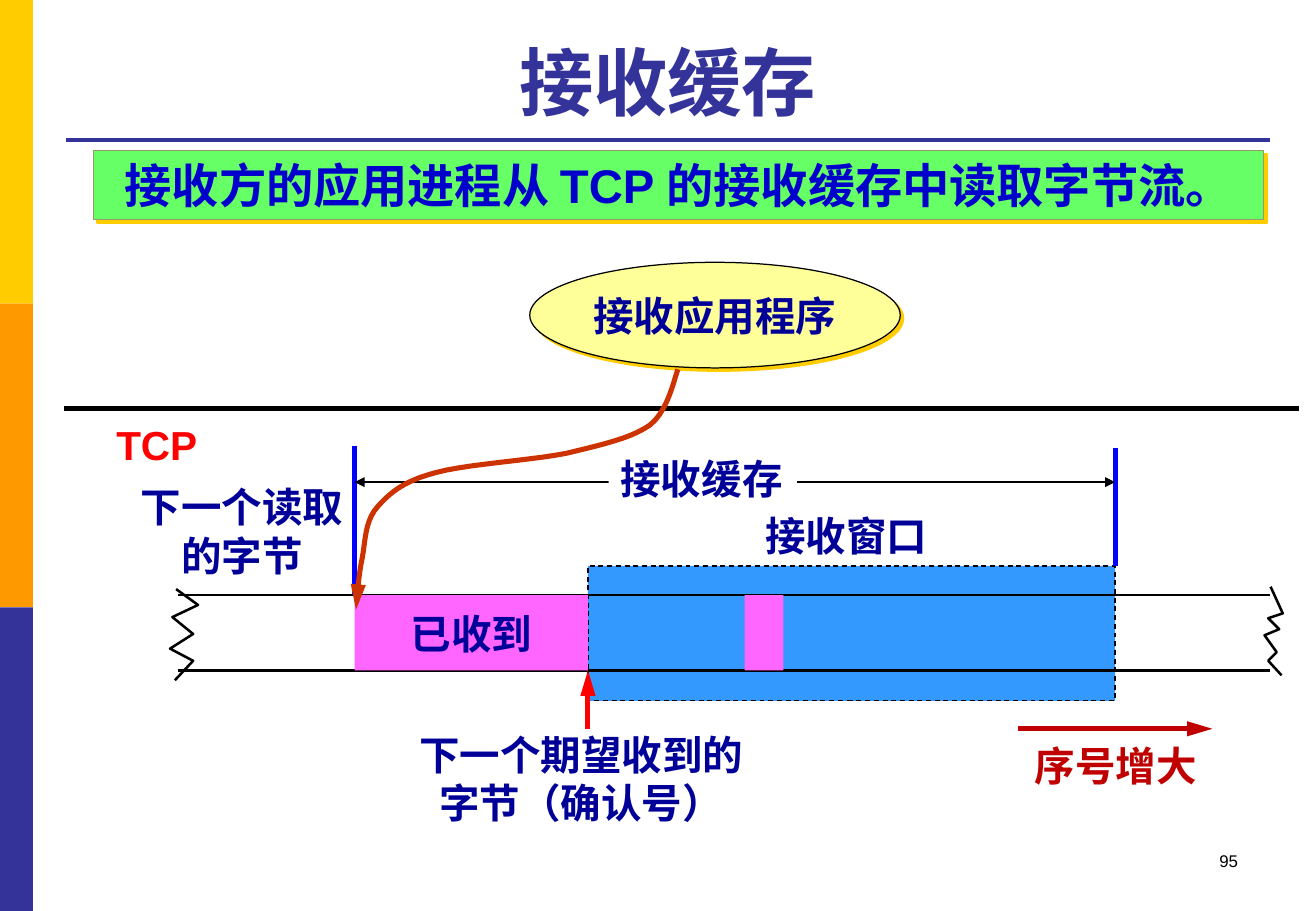
import pptx
import pptx.util
import pptx.dml.color
import pptx.enum.dml
import pptx.enum.shapes
import pptx.enum.text
import pptx.oxml
from lxml import etree

Pt = pptx.util.Pt
RECT = pptx.enum.shapes.MSO_SHAPE.RECTANGLE
OVAL = pptx.enum.shapes.MSO_SHAPE.OVAL
ALIGN = pptx.enum.text.PP_ALIGN
ANCHOR = pptx.enum.text.MSO_ANCHOR
hex_color = pptx.dml.color.RGBColor.from_string
DRAWING = "http://schemas.openxmlformats.org/drawingml/2006/main"
SHADOW = (f'<a:effectLst xmlns:a="{DRAWING}"><a:outerShdw dist="35921" dir="2700000" algn="ctr" '
          'rotWithShape="0"><a:srgbClr val="FFCC00"/></a:outerShdw></a:effectLst>')

deck = pptx.Presentation()
deck.slide_width, deck.slide_height = Pt(780), Pt(540)
slide = deck.slides.add_slide(deck.slide_layouts[6])
shapes = slide.shapes


def add_block(kind, bounds, fill=None, outline=None, shadow=False):
    block = shapes.add_shape(kind, *map(Pt, bounds))
    block.fill.solid()
    block.fill.fore_color.rgb = hex_color(fill)
    if outline:
        block.line.color.rgb = hex_color(outline)
        block.line.width = Pt(0.75)
    else:
        block.line.fill.background()
    if shadow:
        block._element.spPr.append(pptx.oxml.parse_xml(SHADOW))
    else:
        block.shadow.inherit = False
    return block


def draw_stroke(points, color, width, arrows=(), length="med"):
    points = [(Pt(x), Pt(y)) for x, y in points]
    if len(points) == 2:
        stroke = shapes.add_connector(pptx.enum.shapes.MSO_CONNECTOR.STRAIGHT, *points[0], *points[1])
    else:
        builder = shapes.build_freeform(*points[0], scale=1.0)
        builder.add_line_segments(points[1:], close=False)
        stroke = builder.convert_to_shape()
        stroke.fill.background()
    stroke.line.color.rgb = hex_color(color)
    stroke.line.width = Pt(width)
    for end in arrows:
        etree.SubElement(stroke.line._get_or_add_ln(), f"{{{DRAWING}}}{end}",
                         type="triangle", w="med", len=length)
    etree.SubElement(stroke._element.spPr, f"{{{DRAWING}}}effectLst")


# Side band and title rule
for i, color in enumerate(["FFCC00", "FF9900", "333399"]):
    add_block(RECT, (0, 180 * i, 19.5, 180), color)
draw_stroke([(39, 82.8), (753, 82.8)], "333399", 2.25)

# Buffer geometry
buffer_left, next_expected, buffer_right = 210.24, 348.5, 661
stream_top, stream_bottom = 352.8, 397.4
stream_height = stream_bottom - stream_top
window_top = 335.5

# Receive window and receiving application
window = add_block(RECT, (next_expected, window_top, buffer_right - next_expected, 80), "3399FF", "000000")
window.line.dash_style = pptx.enum.dml.MSO_LINE.DASH
application = add_block(OVAL, (314, 155.5, 219.6, 62.6), "FFFF99", "000000", shadow=True)

# Layer boundary and byte stream
draw_stroke([(38.2, 241.9), (769.7, 241.9)], "000000", 3)
for y in (stream_top, stream_bottom):
    draw_stroke([(105.8, y), (753, y)], "000000", 1.5)
received = add_block(RECT, (buffer_left, stream_top, next_expected - buffer_left, stream_height), "FF66FF")
add_block(RECT, (441.4, stream_top, 23, stream_height), "FF66FF")

# Buffer limits and span
draw_stroke([(buffer_left, 264.2), (buffer_left, stream_top)], "0000FF", 3)
draw_stroke([(buffer_right, 265.7), (buffer_right, window_top)], "0000FF", 3)
draw_stroke([(buffer_left, 285.8), (buffer_right, 285.8)], "000000", 1.5, ("headEnd", "tailEnd"))
span_label = add_block(RECT, (360.7, 265.7, 111.6, 36), "FFFFFF")

# Reading path from the application to the next byte, sampled from cubic curves
path_start = (401.8, 218.9)
reading_curves = [
    [(399.6, 224.6), (396, 243.4), (385.2, 252)],
    [(373.7, 259.9), (357.1, 263.5), (336.2, 268.6)],
    [(315.4, 272.9), (277.2, 275), (258.5, 280.1)],
    [(239, 285.1), (231.1, 292.3), (223.9, 300.2)],
    [(216, 308.9), (216.7, 321.1), (214.6, 331.2)],
    [(212.4, 341.3), (211.7, 355), (211, 361.4)],
]
reading_path = [path_start]
for control_1, control_2, end in reading_curves:
    start = reading_path[-1]
    for step in range(1, 11):
        t = step / 10
        reading_path.append(tuple(
            (1 - t) ** 3 * a + 3 * (1 - t) ** 2 * t * b + 3 * (1 - t) * t ** 2 * c + t ** 3 * d
            for a, b, c, d in zip(start, control_1, control_2, end)))
draw_stroke(reading_path, "CC3300", 3, ["tailEnd"], "lg")

# Sequence direction and acknowledgement arrows
draw_stroke([(603.4, 432), (718.6, 432)], "C00000", 3, ["tailEnd"], "lg")
draw_stroke([(next_expected, 432), (next_expected, stream_bottom)], "FF0000", 3, ["tailEnd"], "lg")

# Torn ends of the stream
draw_stroke([(753.1, 347.8), (760.3, 363.6), (751.7, 366.5), (758.2, 373), (749.5, 376.6),
             (756.7, 386.6), (751.7, 391.7), (759.6, 400.3)], "000000", 1.5)
draw_stroke([(104.4, 349.2), (117.4, 358.6), (102.2, 365.8), (114.5, 375.8), (100.8, 384.5),
             (114.5, 391.7), (103.7, 403.2)], "000000", 1.5)

banner = add_block(RECT, (55.6, 89.3, 693.4, 41), "66FF66", "999966", shadow=True)

# Text: holder (a shape or the bounds of a text box), lines, size, colour, alignment, anchor, wrap
C, L, R = ALIGN.CENTER, ALIGN.LEFT, ALIGN.RIGHT
TOP, MIDDLE, BOTTOM = ANCHOR.TOP, ANCHOR.MIDDLE, ANCHOR.BOTTOM
texts = [
    ((39, 15.1, 713.5, 62.6), ["接收缓存"], 44, "333399", C, BOTTOM, True),
    (banner, ["接收方的应用进程从 TCP 的接收缓存中读取字节流。"], 28, "0000CC", C, TOP, True),
    (application, ["接收应用程序"], 24, "000099", C, MIDDLE, False),
    (received, ["已收到"], 24, "000099", C, MIDDLE, False),
    (span_label, ["接收缓存"], 24, "000099", L, TOP, False),
    ((446.4, 299.5, 111.6, 36), ["接收窗口"], 24, "000099", L, TOP, False),
    ((61.2, 245.5, 63.4, 36), ["TCP"], 24, "FF0000", C, TOP, False),
    ((75.6, 282.2, 135.4, 65.5), ["下一个读取", "的字节"], 24, "000099", C, TOP, False),
    ((605.5, 435.6, 111.6, 36), ["序号增大"], 24, "C00000", C, TOP, False),
    ((240.5, 429.1, 208, 65.5), ["下一个期望收到的", "字节（确认号）"], 24, "000099", C, TOP, False),
    ((558.7, 500.4, 182.2, 36), ["95"], 10, "000000", R, TOP, True),
]
for holder, lines, size, color, align, anchor, wrap in texts:
    if isinstance(holder, tuple):
        holder = shapes.add_textbox(*map(Pt, holder))
    frame = holder.text_frame
    frame.word_wrap = wrap
    frame.vertical_anchor = anchor
    for i, line in enumerate(lines):
        paragraph = frame.add_paragraph() if i else frame.paragraphs[0]
        paragraph.alignment = align
        run = paragraph.add_run()
        run.text = line
        run.font.name = "Arial"
        run.font.size = Pt(size)
        run.font.bold = size > 10
        run.font.color.rgb = hex_color(color)

deck.save("out.pptx")
